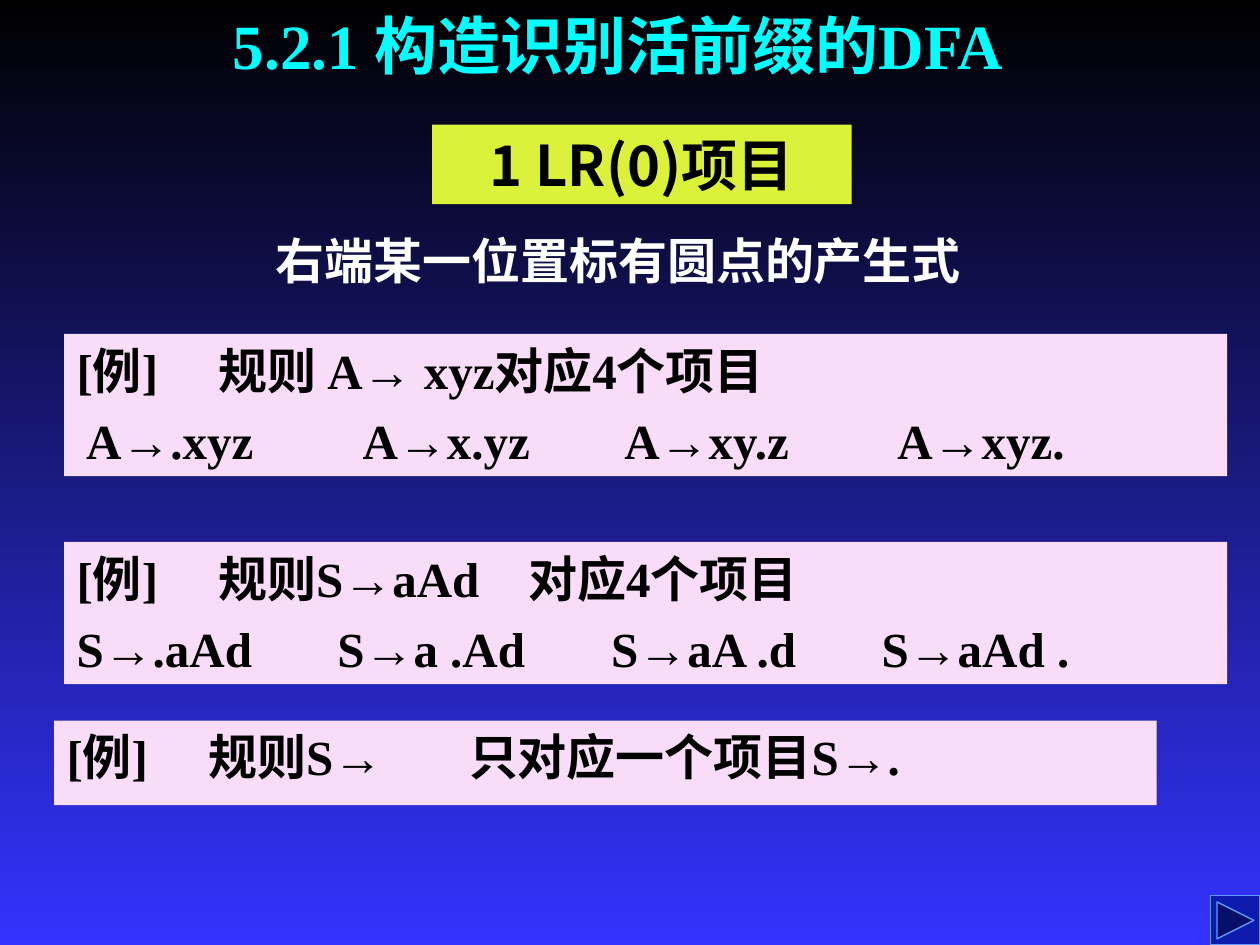
from pptx import Presentation
from pptx.dml.color import RGBColor
from pptx.enum.shapes import MSO_SHAPE
from pptx.enum.text import MSO_ANCHOR, PP_ALIGN
from pptx.util import Pt

RECTANGLE = MSO_SHAPE.RECTANGLE
NEXT_BUTTON = MSO_SHAPE.ACTION_BUTTON_FORWARD_OR_NEXT
TOP = MSO_ANCHOR.TOP
LEFT, CENTER = PP_ALIGN.LEFT, PP_ALIGN.CENTER

COLORS = {
    "night": "000000", "blue": "3333FF", "title": "00FFFF", "white": "FFFFFF",
    "ink": "000000", "pink": "F8DCF8", "lime": "DCF23A",
    "button": "0D1CAF", "button_line": "6699FF",
}
SERIF, SANS = "Times New Roman", "Noto Sans CJK SC"
FRAME = {
    "word_wrap": True, "vertical_anchor": TOP,
    "margin_left": Pt(7.2), "margin_right": Pt(7.2),
    "margin_top": Pt(3.6), "margin_bottom": Pt(3.6),
}
ROW_PITCH = 40
RULE_LEFT = 81

EXAMPLES = [
    ((36.72, 190.8, 664.56, 81.36), [
        [(0, "[例]"), (RULE_LEFT, "规则 A→ xyz对应4个项目")],
        [(5.5, "A→.xyz"), (163.5, "A→x.yz"), (313, "A→xy.z"), (469, "A→xyz.")],
    ]),
    ((36.72, 309.6, 664.56, 81.36), [
        [(0, "[例]"), (RULE_LEFT, "规则S→aAd"), (258, "对应4个项目")],
        [(0, "S→.aAd"), (149, "S→a .Ad"), (305.5, "S→aA .d"), (460, "S→aAd .")],
    ]),
    ((30.96, 411.84, 630, 48.24), [
        [(0, "[例]"), (RULE_LEFT, "规则S→"), (230, "只对应一个项目S→.")],
    ]),
]


def color(name):
    return RGBColor.from_string(COLORS[name])


def apply(target, values):
    for name, value in values.items():
        setattr(target, name, value)


def add_panel(page, box, fill, kind=RECTANGLE):
    panel = page.shapes.add_shape(kind, *map(Pt, box))
    panel.shadow.inherit = False
    panel.fill.solid()
    panel.fill.fore_color.rgb = color(fill)
    panel.line.fill.background()
    return panel


def write_text(shape, text, ink, size, font=SERIF, align=LEFT):
    frame = shape.text_frame
    apply(frame, FRAME)
    para = frame.paragraphs[0]
    para.alignment = align
    span = para.add_run()
    span.text = text
    apply(span.font, {"name": font, "size": Pt(size), "bold": True})
    span.font.color.rgb = color(ink)


def paint_background(page):
    fill = page.background.fill
    fill.gradient()
    fill.gradient_angle = 270
    for stop, name, position in zip(fill.gradient_stops, ("night", "blue"), (0, 1)):
        stop.color.rgb = color(name)
        stop.position = position


def add_caption(page, box, text, ink, size):
    caption = page.shapes.add_textbox(*map(Pt, box))
    write_text(caption, text, ink, size)


def add_heading(page, box, text):
    write_text(add_panel(page, box, "lime"), text, "ink", 32, SANS, CENTER)


def add_example(page, box, rows):
    left, top, width, height = box
    add_panel(page, box, "pink")
    for index, row in enumerate(rows):
        ends = [offset for offset, text in row[1:]] + [width]
        for (offset, text), end in zip(row, ends):
            cell = (left + offset, top + index * ROW_PITCH, end - offset, ROW_PITCH)
            add_caption(page, cell, text, "ink", 28)


def add_next_button(page, box):
    button = add_panel(page, box, "button", NEXT_BUTTON)
    button.line.color.rgb = color("button_line")
    button.line.width = Pt(0.75)


def main():
    deck = Presentation()
    apply(deck, {"slide_width": Pt(720), "slide_height": Pt(540)})
    page = deck.slides.add_slide(deck.slide_layouts[6])
    paint_background(page)
    add_caption(page, (126, 0, 540, 50.4), "5.2.1 构造识别活前缀的DFA", "title", 36)
    add_heading(page, (246.96, 71.28, 239.76, 45.36), "1 LR(0)项目")
    add_caption(page, (150.48, 128.16, 462.24, 41.04), "右端某一位置标有圆点的产生式", "white", 28)
    for box, rows in EXAMPLES:
        add_example(page, box, rows)
    add_next_button(page, (691.92, 511.92, 28.08, 28.08))
    deck.save("out.pptx")


if __name__ == "__main__":
    main()
